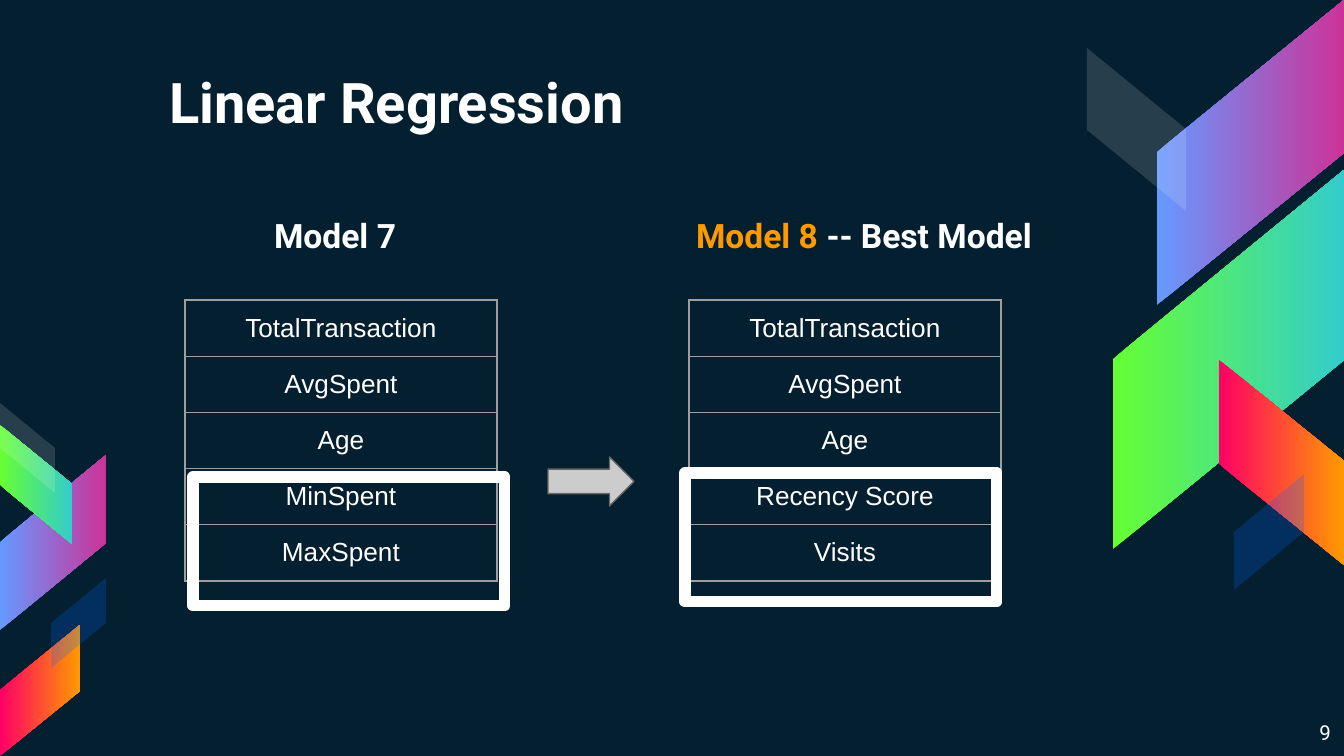
from lxml import etree
from pptx import Presentation
from pptx.dml.color import RGBColor
from pptx.enum.shapes import MSO_SHAPE as SHAPE
from pptx.enum.text import MSO_ANCHOR as ANCHOR, MSO_AUTO_SIZE as AUTO, PP_ALIGN as ALIGN
from pptx.oxml import parse_xml
from pptx.oxml.ns import nsdecls, qn
from pptx.util import Emu, Pt

NAVY = RGBColor(0x04, 0x1F, 0x30)
WHITE = RGBColor(0xFF, 0xFF, 0xFF)
ORANGE = RGBColor(0xFF, 0x99, 0x00)
PINK = RGBColor(0xFF, 0x00, 0x66)
MAGENTA = RGBColor(0xCC, 0x33, 0x99)
PERIWINKLE = RGBColor(0x66, 0x99, 0xFF)
GREEN = RGBColor(0x66, 0xFF, 0x33)
TEAL = RGBColor(0x33, 0xCC, 0xCC)
BLUE = RGBColor(0x00, 0x66, 0xFF)
SILVER = RGBColor(0xCC, 0xCC, 0xCC)
GRAY = RGBColor(0x66, 0x66, 0x66)
BORDER = RGBColor(0x9E, 0x9E, 0x9E)
SCALE = 914400 / 134.4


def px(*lengths):
    return [Emu(round(n * SCALE)) for n in lengths]


def place_text(sp, box, text, size, bold=False, align=ALIGN.LEFT, anchor=ANCHOR.TOP):
    sp.left, sp.top, sp.width, sp.height = px(*box)
    tf = sp.text_frame
    tf.word_wrap = True
    tf.auto_size = AUTO.NONE
    tf.vertical_anchor = anchor
    tf.margin_left, tf.margin_top, tf.margin_right, tf.margin_bottom = px(13, 13, 13, 13)
    tf.text = text
    p = tf.paragraphs[0]
    p.alignment = align
    p.font.name, p.font.size, p.font.bold = "Roboto", Pt(size), bold
    p.font.color.rgb = WHITE
    return p


prs = Presentation()
prs.slide_width, prs.slide_height = px(1344, 756)
s = prs.slides.add_slide(prs.slide_layouts[3])
s.background.fill.solid()
s.background.fill.fore_color.rgb = NAVY

ribbons = [
    (1157, 152, 1344, 0, 153, (PERIWINKLE, MAGENTA)),
    (1113, 359, 1344, 170, 190, (GREEN, TEAL)),
    (1219, 360, 1344, 461, 104, (PINK, ORANGE)),
    (1087, 48, 1186, 129, 82, (WHITE, 14)),
    (1234, 532, 1304, 474, 58, (BLUE, 23)),
    (0, 542, 106, 455, 88, (PERIWINKLE, MAGENTA)),
    (0, 425, 72, 484, 60, (GREEN, TEAL)),
    (0, 690, 80, 625, 66, (PINK, ORANGE)),
    (0, 403, 55, 448, 45, (WHITE, 14)),
    (51, 623, 106, 578, 45, (BLUE, 23)),
]
for x1, y1, x2, y2, h, (color, end) in ribbons:
    fb = s.shapes.build_freeform(x1, y1, scale=SCALE)
    fb.add_line_segments([(x2, y2), (x2, y2 + h), (x1, y1 + h)], close=True)
    sp = fb.convert_to_shape()
    sp.shadow.inherit = False
    sp.line.fill.background()
    if isinstance(end, RGBColor):
        sp.fill.gradient()
        sp.fill.gradient_angle = 0
        for stop, rgb in zip(sp.fill.gradient_stops, (color, end)):
            stop.color.rgb = rgb
    else:
        sp.fill.solid()
        sp.fill.fore_color.rgb = color
        clr = sp._element.spPr.find(".//" + qn("a:srgbClr"))
        etree.SubElement(clr, qn("a:alpha"), val=str(end * 1000))

place_text(s.shapes.add_textbox(0, 0, 0, 0), (1258, 707, 86, 48), "9", 11, align=ALIGN.RIGHT)
place_text(s.shapes.title, (156, 54, 878, 94), "Linear Regression", 30, True, anchor=ANCHOR.BOTTOM)

shared = ["TotalTransaction", "AvgSpent", "Age"]
models = [
    (1, (261, 202, 297, 82), [("Model 7", WHITE)], 185, shared + ["MinSpent", "MaxSpent"]),
    (2, (683, 202, 386, 82), [("Model 8 ", ORANGE), ("-- Best Model", WHITE)], 689,
     shared + ["Recency Score", "Visits"]),
]
for idx, box, heading, left, variables in models:
    p = place_text(s.placeholders[idx], box, "", 18, True)
    p.space_before = Pt(6)
    for text, color in heading:
        r = p.add_run()
        r.text = text
        r.font.color.rgb = color
    pPr = p._p.get_or_add_pPr()
    pPr.set("marL", "0")
    pPr.set("indent", "0")
    pPr.find(qn("a:spcBef")).addnext(parse_xml(f"<a:buNone {nsdecls('a')}/>"))

    tbl = s.shapes.add_table(len(variables), 1, *px(left, 300, 312, 281)).table
    tbl.first_row = tbl.horz_banding = False
    for cell, name in zip(tbl.iter_cells(), variables):
        cell.text = name
        cell.fill.background()
        cell.vertical_anchor = ANCHOR.MIDDLE
        cell.margin_top, cell.margin_bottom = px(12, 12)
        p = cell.text_frame.paragraphs[0]
        p.alignment = ALIGN.CENTER
        p.font.name, p.font.size = "Arial", Pt(14)
        p.font.color.rgb = WHITE
        tcPr = cell._tc.get_or_add_tcPr()
        for i, side in enumerate("LRTB"):
            tcPr.insert(i, parse_xml(
                f'<a:ln{side} {nsdecls("a")} w="9525"><a:solidFill>'
                f'<a:srgbClr val="{BORDER}"/></a:solidFill></a:ln{side}>'))

for left, top in [(193, 477), (685, 473)]:
    sp = s.shapes.add_shape(SHAPE.RECTANGLE, *px(left, top, 312, 129))
    sp.shadow.inherit = False
    sp.fill.background()
    sp.line.color.rgb, sp.line.width = WHITE, Pt(6)
    etree.SubElement(sp.line._ln, qn("a:round"))

arrow = s.shapes.add_shape(SHAPE.RIGHT_ARROW, *px(548, 457, 86, 49))
arrow.shadow.inherit = False
arrow.fill.solid()
arrow.fill.fore_color.rgb = SILVER
arrow.line.color.rgb, arrow.line.width = GRAY, Pt(0.75)

prs.save("out.pptx")
